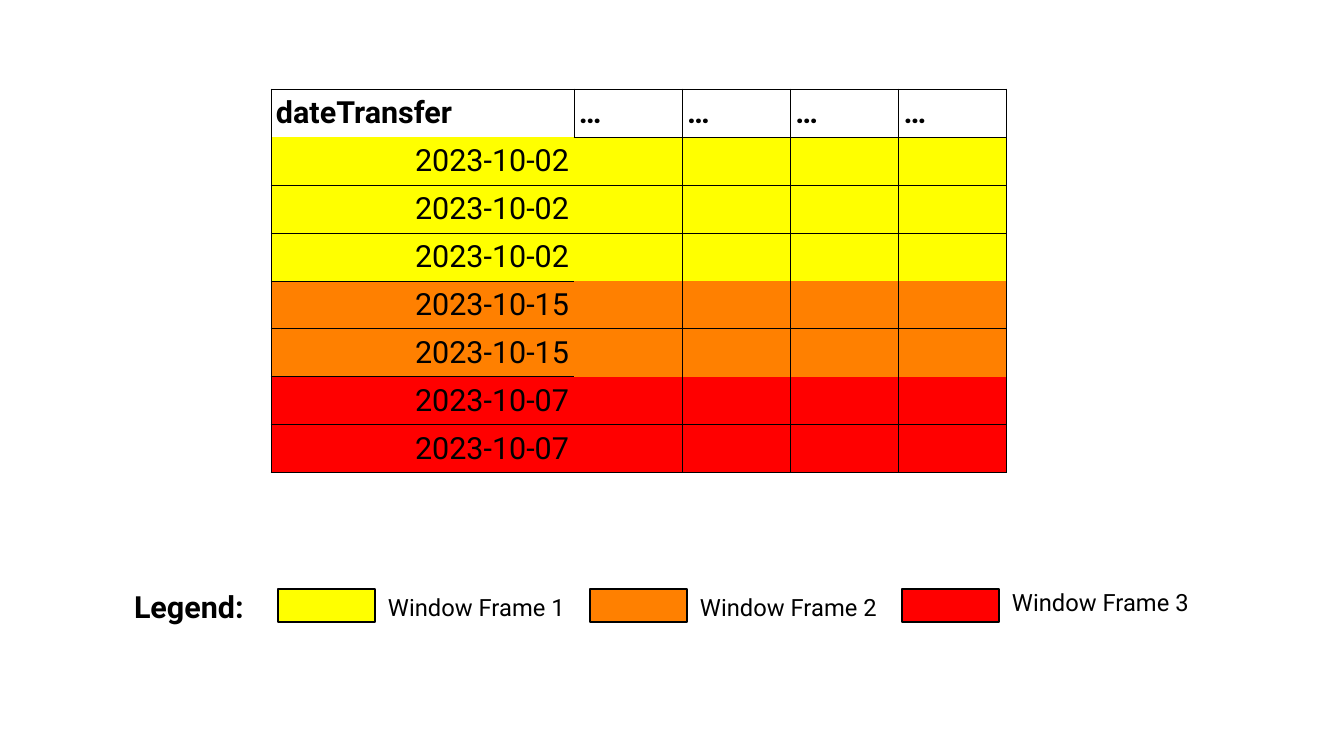
from dataclasses import dataclass
from itertools import product
from lxml import etree
from pptx import Presentation
from pptx import util as u
from pptx.dml.color import RGBColor
from pptx.enum import shapes, text
from pptx.oxml import ns

PX = 7495


@dataclass(frozen=True)
class Theme:
    font: str = "Roboto"
    ink: str = "000000"
    frames: tuple = ("FFFF00", "FF8000", "FF0000")
    big: int = 18
    small: int = 14
    rule: float = 0.57


THEME = Theme()
HEADS = ("dateTransfer", "…", "…", "…", "…")
DATES = (("2023-10-02", 0),) * 3 + (("2023-10-15", 1),) * 2 + (("2023-10-07", 2),) * 2


def px(*vals):
    return [u.Emu(v * PX) for v in vals]


def write(frame, words, size, bold=False, align=text.PP_ALIGN.LEFT):
    frame.text = words
    para = frame.paragraphs[0]
    para.alignment = align
    for run in para.runs:
        run.font.name = THEME.font
        run.font.size = u.Pt(size)
        run.font.bold = bold
        run.font.color.rgb = RGBColor.from_string(THEME.ink)


def edge(cell, side, shown):
    props = cell._tc.get_or_add_tcPr()
    line = etree.SubElement(props, ns.qn("a:ln" + side), w=str(u.Pt(THEME.rule)))
    if shown:
        fill = etree.SubElement(line, ns.qn("a:solidFill"))
        etree.SubElement(fill, ns.qn("a:srgbClr"), val=THEME.ink)
    else:
        etree.SubElement(line, ns.qn("a:noFill"))


def ruled(row, col):
    if row in (0, len(DATES)):
        return True
    if row == 1:
        return col > 0
    return col == 0 or DATES[row - 1][1] == DATES[row - 2][1]


def table(slide, left, top, width, height):
    rows, cols = len(DATES) + 1, len(HEADS)
    grid = slide.shapes.add_table(rows, cols, *px(left, top, width, height)).table
    first = 303
    rest = (width - first) / (cols - 1)
    for col, part in enumerate(grid.columns):
        part.width = u.Emu(round((rest if col else first) * PX))
    for part in grid.rows:
        part.height = u.Emu(height // rows * PX)
    for row, col in product(range(rows), range(cols)):
        cell = grid.cell(row, col)
        edge(cell, "L", col != 1 or row == 0)
        edge(cell, "R", col != 0 or row == 0)
        edge(cell, "T", ruled(row, col))
        edge(cell, "B", row == rows - 1 or ruled(row + 1, col))
        cell.margin_left, cell.margin_right = px(5, 5)
        cell.margin_top, cell.margin_bottom = px(6, 6) if row == 0 or col == 0 else px(0, 0)
        if row == 0:
            cell.fill.background()
            write(cell.text_frame, HEADS[col], THEME.big, True)
            continue
        date, frame = DATES[row - 1]
        cell.fill.solid()
        cell.fill.fore_color.rgb = RGBColor.from_string(THEME.frames[frame])
        if col == 0:
            write(cell.text_frame, date, THEME.big, align=text.PP_ALIGN.RIGHT)


def label(slide, left, top, width, words, size, bold=False):
    box = slide.shapes.add_textbox(*px(left, top, width, 48))
    box.text_frame.word_wrap = True
    write(box.text_frame, words, size, bold)


def legend(slide, left, top):
    label(slide, left, top, 153, "Legend:", THEME.big, True)
    for num, (color, drop) in enumerate(zip(THEME.frames, (5, 5, 0))):
        side = left + 156 + num * 312
        key = slide.shapes.add_shape(shapes.MSO_SHAPE.RECTANGLE, *px(side, top + 7, 97, 33))
        key.shadow.inherit = False
        key.fill.solid()
        key.fill.fore_color.rgb = RGBColor.from_string(color)
        key.line.color.rgb = RGBColor.from_string(THEME.ink)
        key.line.width = u.Pt(0)
        label(slide, side + 98, top + drop, 212, f"Window Frame {num + 1}", THEME.small)


def main():
    deck = Presentation()
    deck.slide_width, deck.slide_height = px(1344, 756)
    slide = deck.slides.add_slide(deck.slide_layouts[6])
    table(slide, 271, 89, 736, 384)
    legend(slide, 122, 582)
    deck.save("out.pptx")


if __name__ == "__main__":
    main()
